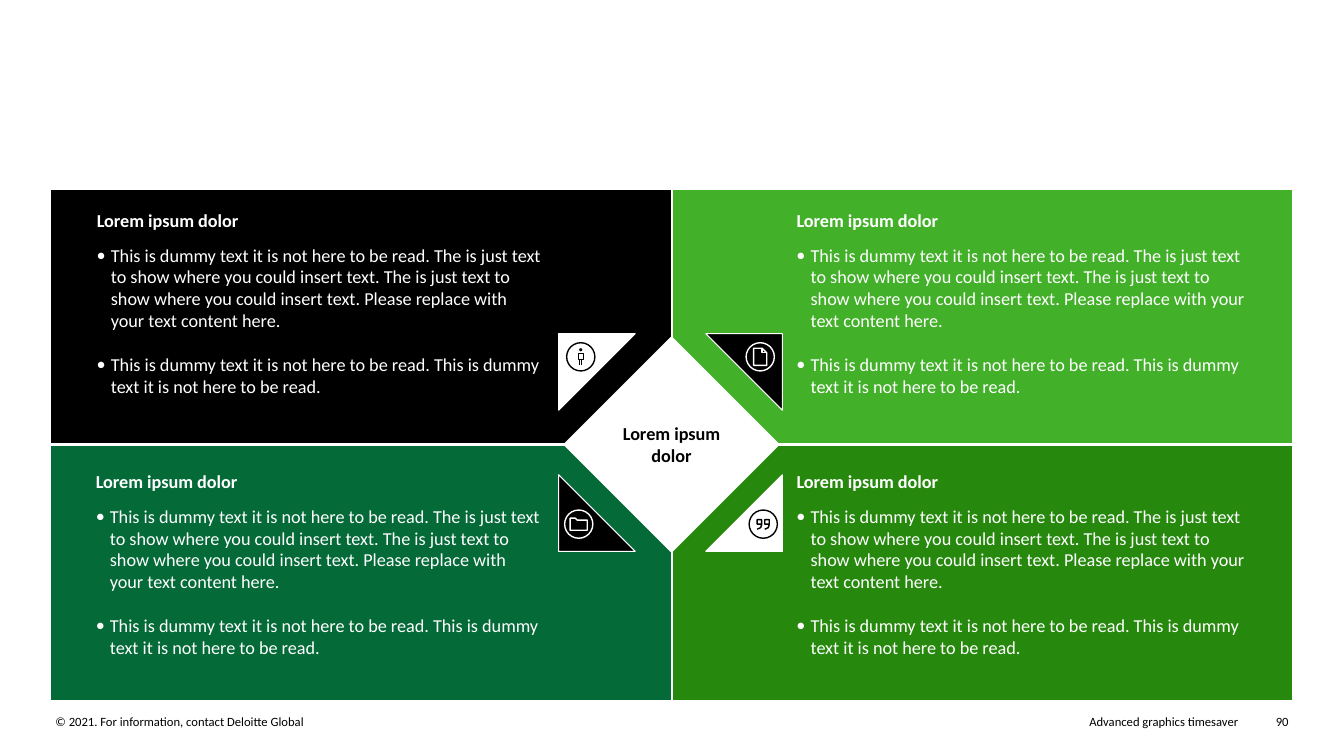
from lxml import etree
from pptx import Presentation
from pptx import util as u
from pptx.dml import color as dml
from pptx.enum import shapes, text
from pptx.oxml import ns

WHITE, BLACK = "FFFFFF", "000000"
PANEL_W, PANEL_H = 6.17, 2.55
TILE = 0.76
HEADING = "Lorem ipsum dolor"
BULLETS = [
    "This is dummy text it is not here to be read. The is just text to show where "
    "you could insert text. The is just text to show where you could insert text. "
    "Please replace with your text content here.",
    "This is dummy text it is not here to be read. This is dummy text it is not "
    "here to be read.",
]

# Icon strokes: (points in thousandths of an inch around the icon's centre, closed)
QUOTE = [(-15, 0), (-60, 0), (-60, -45), (-15, -45), (-15, 5), (-25, 35), (-60, 50)]
ICONS = {
    "person": [
        ([(-25, -35), (25, -35), (25, 25), (-25, 25)], True),
        ([(-10, 25), (-10, 85)], False),
        ([(10, 25), (10, 85)], False),
    ],
    "page": [
        ([(-65, -85), (20, -85), (65, -40), (65, 85), (-65, 85)], True),
        ([(20, -85), (20, -40), (65, -40)], False),
    ],
    "folder": [
        ([(-85, 60), (-85, -60), (-35, -60), (-15, -40), (85, -40), (85, 60)], True),
    ],
    "quotes": [(QUOTE, False), ([(x + 75, y) for x, y in QUOTE], False)],
}


def rgb(hex_value):
    return dml.RGBColor.from_string(hex_value)


def style(shape, fill, line, width):
    shape.shadow.inherit = False
    if fill:
        shape.fill.solid()
        shape.fill.fore_color.rgb = rgb(fill)
    else:
        shape.fill.background()
    shape.line.color.rgb = rgb(line)
    shape.line.width = u.Pt(width)


def add_preset(slide, preset, box, fill, line, width, rotation=0):
    shape = slide.shapes.add_shape(preset, *map(u.Inches, box))
    style(shape, fill, line, width)
    shape.rotation = rotation


def add_text(slide, box, paragraphs, color, size=13, bold=False,
             align=text.PP_ALIGN.LEFT, bulleted=False):
    frame = slide.shapes.add_textbox(*map(u.Inches, box)).text_frame
    frame_format = {"word_wrap": True, "margin_left": 0, "margin_right": 0,
                    "margin_top": 0, "margin_bottom": 0}
    for name, value in frame_format.items():
        setattr(frame, name, value)
    for index, words in enumerate(paragraphs):
        paragraph = frame.paragraphs[0] if index == 0 else frame.add_paragraph()
        if bulleted:
            properties = paragraph._p.get_or_add_pPr()
            properties.set("marL", str(u.Inches(0.14)))
            properties.set("indent", str(u.Inches(-0.14)))
            etree.SubElement(properties, ns.qn("a:buFont")).set("typeface", "Calibri")
            etree.SubElement(properties, ns.qn("a:buChar")).set("char", "•")
            paragraph.level = 1
        paragraph.alignment = align
        if index:
            paragraph.space_before = u.Pt(15.8)
        run = paragraph.add_run()
        run.text = words
        font_format = {"name": "Calibri", "size": u.Pt(size), "bold": bold}
        for name, value in font_format.items():
            setattr(run.font, name, value)
        run.font.color.rgb = rgb(color)


def add_icon(slide, icon, x, y, color):
    """Ringed line icon centred on x, y."""
    add_preset(slide, shapes.MSO_SHAPE.OVAL, (x - 0.14, y - 0.14, 0.28, 0.28),
               None, color, 1)
    if icon == "person":
        add_preset(slide, shapes.MSO_SHAPE.OVAL, (x - 0.01, y - 0.08, 0.02, 0.02),
                   color, color, 0.75)
    for points, closed in ICONS[icon]:
        start, *rest = [(round(x * 1000) + dx, round(y * 1000) + dy)
                        for dx, dy in points]
        builder = slide.shapes.build_freeform(*start, scale=u.Inches(1) / 1000)
        builder.add_line_segments(rest, close=closed)
        style(builder.convert_to_shape(), None, color, 1)


def add_quadrant(slide, left, top, fill, copy_at, copy_width, tile_at, rotation,
                 tile_fill, icon, icon_at):
    # Panel
    add_preset(slide, shapes.MSO_SHAPE.RECTANGLE, (left, top, PANEL_W, PANEL_H),
               fill, WHITE, 1.5)
    # Heading and bullets
    copy_x, copy_y = left + copy_at[0], top + copy_at[1]
    add_text(slide, (copy_x, copy_y, 3.32, 0.22), [HEADING], WHITE, bold=True)
    add_text(slide, (copy_x, copy_y + 0.34, copy_width, 1.53), BULLETS, WHITE,
             bulleted=True)
    # Corner triangle and its icon
    tile_x, tile_y = left + tile_at[0], top + tile_at[1]
    add_preset(slide, shapes.MSO_SHAPE.RIGHT_TRIANGLE, (tile_x, tile_y, TILE, TILE),
               tile_fill, WHITE, 0.75, rotation)
    add_icon(slide, icon, tile_x + icon_at[0], tile_y + icon_at[1],
             BLACK if tile_fill == WHITE else WHITE)


def add_centre(slide, x, y):
    add_preset(slide, shapes.MSO_SHAPE.RECTANGLE, (x - 0.75, y - 0.75, 1.5, 1.5),
               WHITE, WHITE, 1.5, 315)
    add_text(slide, (x - 0.65, y - 0.22, 1.3, 0.44), [HEADING], BLACK, bold=True,
             align=text.PP_ALIGN.CENTER)


def add_footer(slide, top):
    right = text.PP_ALIGN.RIGHT
    for left, width, words, align in (
        (0.55, 5.86, "© 2021. For information, contact Deloitte Global",
         text.PP_ALIGN.LEFT),
        (6.93, 5.35, "Advanced graphics timesaver", right),
        (12.44, 0.34, "90", right),
    ):
        add_text(slide, (left, top, width, 0.15), [words], BLACK, size=9, align=align)


def main():
    deck = Presentation()
    deck.slide_width, deck.slide_height = u.Inches(13.33), u.Inches(7.5)
    slide = deck.slides.add_slide(deck.slide_layouts[6])
    add_footer(slide, 7.08)
    left, right, upper, lower = 0.5, 6.66, 1.87, 4.41
    for quadrant in (
        (right, upper, "43B02A", (1.24, 0.21), 4.47, (0.34, 1.44), 180, BLACK,
         "page", (0.54, 0.23)),
        (right, lower, "26890D", (1.24, 0.26), 4.47, (0.34, 0.3), 270, WHITE,
         "quotes", (0.57, 0.49)),
        (left, upper, BLACK, (0.46, 0.21), 4.4, (5.04, 1.44), 90, WHITE,
         "person", (0.22, 0.23)),
        (left, lower, "046A38", (0.45, 0.26), 4.42, (5.04, 0.3), 0, BLACK,
         "folder", (0.2, 0.49)),
    ):
        add_quadrant(slide, *quadrant)
    add_centre(slide, right, lower)
    deck.save("out.pptx")


if __name__ == "__main__":
    main()
